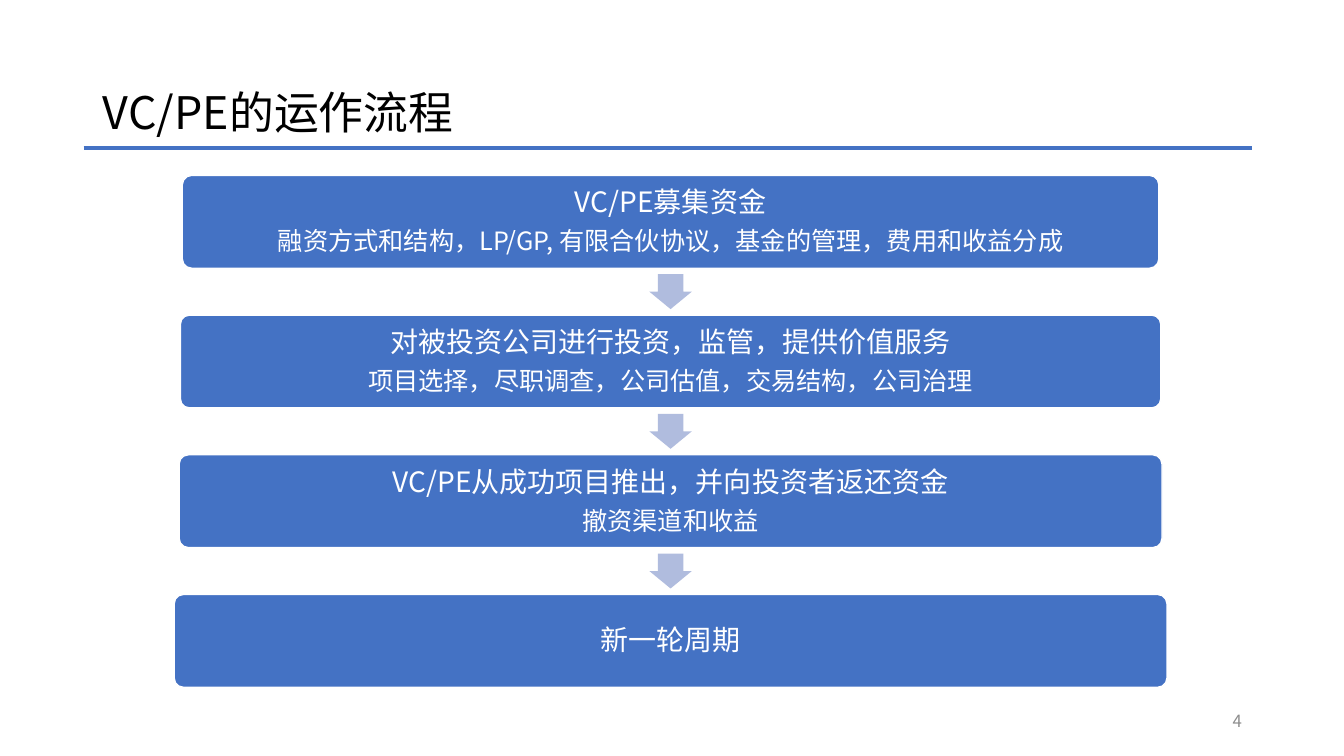
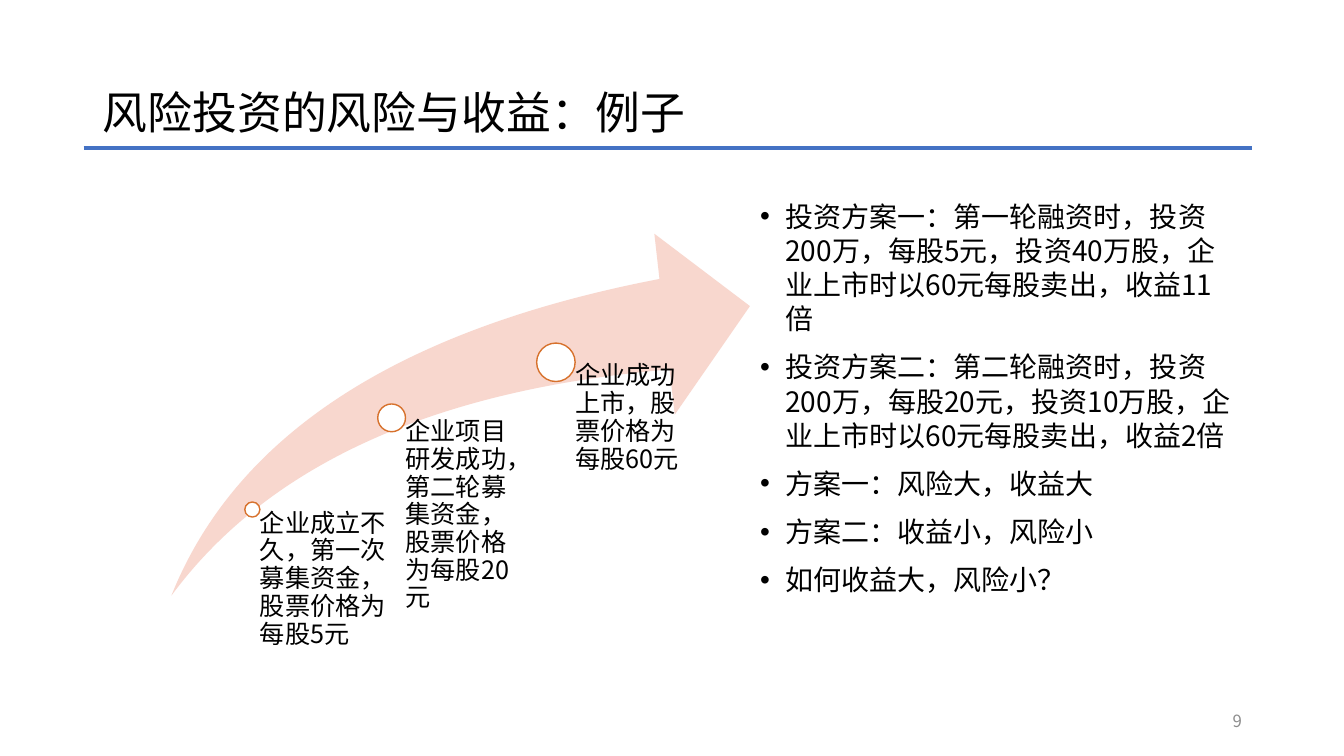
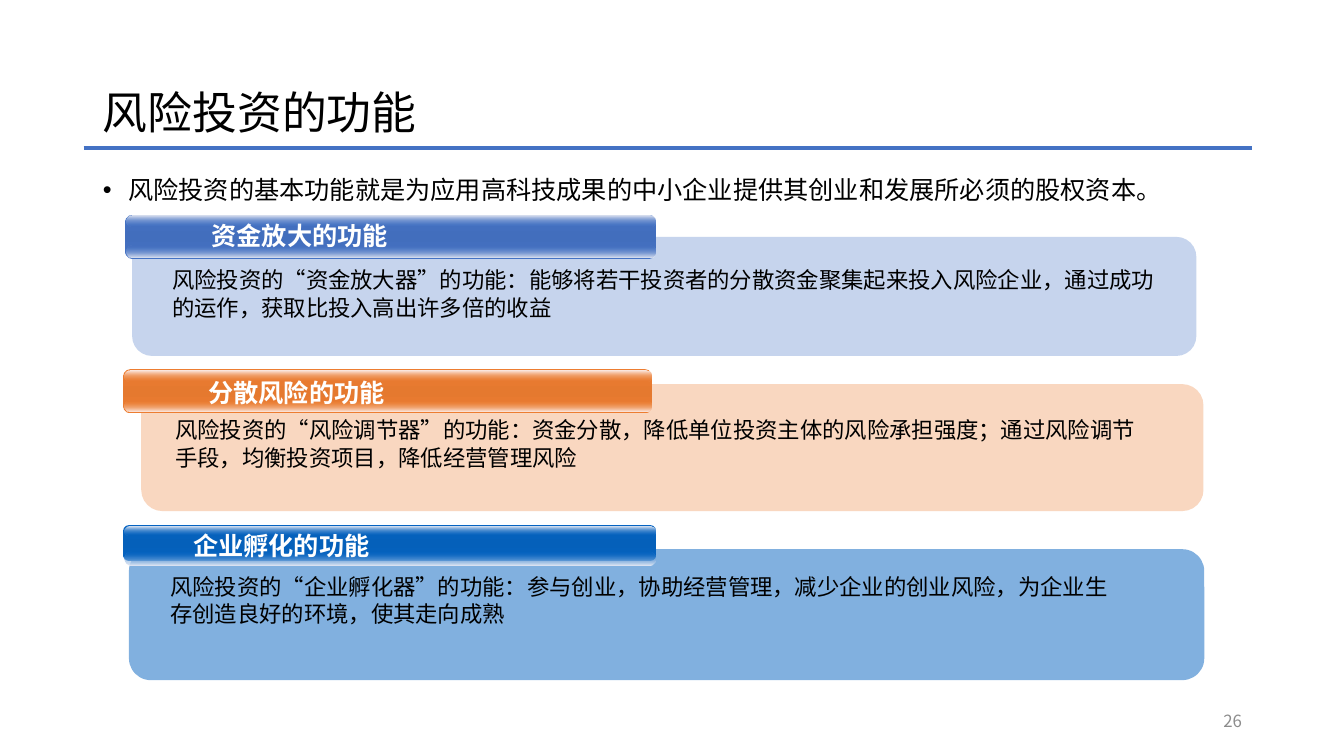
from dataclasses import dataclass
from typing import Any, NamedTuple

from lxml import etree
from pptx import Presentation
from pptx.dml.color import RGBColor
from pptx.enum import shapes, text
from pptx.oxml.ns import qn
from pptx.util import Cm, Pt

FONT = "Noto Sans CJK SC"
LINE_HEIGHT = 1.22  # height of a single-spaced line, in font sizes

BLACK = RGBColor(0x00, 0x00, 0x00)
WHITE = RGBColor(0xFF, 0xFF, 0xFF)
GREY = RGBColor(0x8C, 0x8C, 0x8C)
BLUE = RGBColor(0x44, 0x72, 0xC4)
BLUE_SHADE = RGBColor(0x42, 0x6E, 0xBD)
PALE_BLUE = RGBColor(0xB0, 0xBC, 0xDE)
ORANGE = RGBColor(0xED, 0x7D, 0x31)
ORANGE_SHADE = RGBColor(0xE5, 0x79, 0x2F)
RING_ORANGE = RGBColor(0xD7, 0x71, 0x2C)
PALE_PINK = RGBColor(0xF8, 0xD7, 0xCE)
DEEP_BLUE = RGBColor(0x05, 0x63, 0xC1)
DEEP_BLUE_SHADE = RGBColor(0x05, 0x60, 0xBA)
BLUE_GLOSS = RGBColor(0xE6, 0xE9, 0xF3)
ORANGE_GLOSS = RGBColor(0xFC, 0xF0, 0xED)
DEEP_BLUE_GLOSS = RGBColor(0xE8, 0xEB, 0xF5)

SHAPE = shapes.MSO_SHAPE
ALIGN = text.PP_ALIGN
ANCHOR = text.MSO_ANCHOR


class Box(NamedTuple):
    """A place on the slide, in centimetres."""
    left: float
    top: float
    width: float
    height: float

    def lengths(self) -> list[Cm]:
        return [Cm(value) for value in self]


class Stop(NamedTuple):
    position: int
    colour: RGBColor
    opacity: int = 100


@dataclass(frozen=True)
class Step:
    width: float
    heading: str
    detail: str = ""


@dataclass(frozen=True)
class Stage:
    centre_x: float
    centre_y: float
    diameter: float
    caption_width: float
    caption: str


@dataclass(frozen=True)
class Function:
    label: str
    description: str
    colour: RGBColor
    shade: RGBColor
    gloss: RGBColor
    panel: Box
    panel_opacity: int
    tab: Box
    label_box: Box
    description_box: Box
    lower_gloss_top: float = 0.79
    lower_gloss_height: float = 0.28


TITLE_BOX = Box(2.34, 1.02, 29.21, 3.68)
NUMBER_BOX = Box(23.93, 17.65, 7.62, 1.02)

STEPS = [
    Step(24.61, "VC/PE募集资金",
         "融资方式和结构，LP/GP, 有限合伙协议，基金的管理，费用和收益分成"),
    Step(24.71, "对被投资公司进行投资，监管，提供价值服务",
         "项目选择，尽职调查，公司估值，交易结构，公司治理"),
    Step(24.77, "VC/PE从成功项目推出，并向投资者返还资金", "撤资渠道和收益"),
    Step(25.02, "新一轮周期"),
]

STAGES = [
    Stage(6.36, 12.84, 0.38, 3.4, "企业成立不久，第一次募集资金，股票价格为每股5元"),
    Stage(9.87, 10.53, 0.7, 3.5, "企业项目研发成功，第二轮募集资金，股票价格为每股20元"),
    Stage(14.01, 9.13, 0.97, 3.5, "企业成功上市，股票价格为每股60元"),
]

PLANS = [
    "投资方案一：第一轮融资时，投资200万，每股5元，投资40万股，企业上市时以60元每股卖出，收益11倍",
    "投资方案二：第二轮融资时，投资200万，每股20元，投资10万股，企业上市时以60元每股卖出，收益2倍",
    "方案一：风险大，收益大",
    "方案二：收益小，风险小",
    "如何收益大，风险小？",
]

FUNCTIONS = [
    Function(
        "资金放大的功能",
        "风险投资的“资金放大器”的功能：能够将若干投资者的分散资金聚集起来投入风险企业，"
        "通过成功的运作，获取比投入高出许多倍的收益",
        BLUE, BLUE_SHADE, BLUE_GLOSS,
        panel=Box(3.33, 5.97, 26.82, 3), panel_opacity=30,
        tab=Box(3.15, 5.41, 13.39, 1.12),
        label_box=Box(5.08, 5.41, 7.75, 1.02),
        description_box=Box(4.09, 6.58, 25.4, 1.68)),
    Function(
        "分散风险的功能",
        "风险投资的“风险调节器”的功能：资金分散，降低单位投资主体的风险承担强度；"
        "通过风险调节手段，均衡投资项目，降低经营管理风险",
        ORANGE, ORANGE_SHADE, ORANGE_GLOSS,
        panel=Box(3.56, 9.68, 26.77, 3.2), panel_opacity=30,
        tab=Box(3.1, 9.3, 13.34, 1.12),
        label_box=Box(5, 9.37, 8.2, 1.02),
        description_box=Box(4.17, 10.36, 24.82, 1.68)),
    Function(
        "企业孵化的功能",
        "风险投资的“企业孵化器”的功能：参与创业，协助经营管理，减少企业的创业风险，"
        "为企业生存创造良好的环境，使其走向成熟",
        DEEP_BLUE, DEEP_BLUE_SHADE, DEEP_BLUE_GLOSS,
        panel=Box(3.25, 13.84, 27.1, 3.3), panel_opacity=50,
        tab=Box(3.1, 13.23, 13.44, 0.91),
        label_box=Box(4.62, 13.23, 8.15, 1.02),
        description_box=Box(4.04, 14.3, 24.46, 1.68),
        lower_gloss_top=0.66, lower_gloss_height=0.36),
]


def add_paragraph(frame: Any, content: str, *, size: float, colour: RGBColor = BLACK,
                  bold: bool = False, align: Any = ALIGN.LEFT, spacing: float = 1,
                  before: float = 0, after: float = 0, bullet: bool = False) -> None:
    """Fill the frame's empty first paragraph, or append another one."""
    paragraph = frame.paragraphs[0]
    if paragraph.runs:
        paragraph = frame.add_paragraph()
    else:
        before = 0
    if bullet:
        properties = paragraph._p.get_or_add_pPr()
        properties.set("marL", str(Cm(0.64)))
        properties.set("indent", str(Cm(-0.64)))
    paragraph.alignment = align
    paragraph.line_spacing = Pt(round(size * LINE_HEIGHT * spacing, 1))
    paragraph.space_before = Pt(before)
    paragraph.space_after = Pt(after)
    run = paragraph.add_run()
    run.text = content
    font = run.font
    font.size, font.bold, font.name = Pt(size), bold, FONT
    font.color.rgb = colour
    run_properties = run._r.get_or_add_rPr()
    run_properties.set("lang", "zh-CN")
    etree.SubElement(run_properties, qn("a:ea")).set("typeface", FONT)


def prepare_frame(shape: Any, anchor: Any = ANCHOR.TOP) -> Any:
    frame = shape.text_frame
    frame.word_wrap = True
    frame.auto_size = text.MSO_AUTO_SIZE.NONE
    frame.vertical_anchor = anchor
    return frame


def add_text(slide: Any, box: Box, content: str, *, anchor: Any = ANCHOR.TOP,
             **text_format: Any) -> Any:
    frame = prepare_frame(slide.shapes.add_textbox(*box.lengths()), anchor)
    add_paragraph(frame, content, **text_format)
    return frame


def fill_placeholder(placeholder: Any, box: Box, contents: list[str], *,
                     anchor: Any = ANCHOR.TOP, **text_format: Any) -> None:
    placeholder.left, placeholder.top, placeholder.width, placeholder.height = box.lengths()
    frame = prepare_frame(placeholder, anchor)
    for content in contents:
        add_paragraph(frame, content, **text_format)


def add_shape(slide: Any, kind: Any, box: Box, fill: RGBColor | None = None, *,
              line: RGBColor | None = None, adjustments: tuple[float, ...] = ()) -> Any:
    shape = slide.shapes.add_shape(kind, *box.lengths())
    shape.shadow.inherit = False
    if fill is not None:
        shape.fill.solid()
        shape.fill.fore_color.rgb = fill
    if line is None:
        shape.line.fill.background()
    else:
        shape.line.color.rgb = line
        shape.line.width = Pt(1)
    for index, value in enumerate(adjustments):
        shape.adjustments[index] = value
    return shape


def set_opacity(colour_element: Any, percent: int) -> None:
    etree.SubElement(colour_element, qn("a:alpha")).set("val", str(percent * 1000))


def add_gradient_bar(slide: Any, box: Box, rounding: float, stops: list[Stop]) -> None:
    """Draw a rounded bar shaded from top to bottom."""
    bar = add_shape(slide, SHAPE.ROUNDED_RECTANGLE, box, adjustments=(rounding,))
    bar.fill.gradient()
    bar.fill.gradient_angle = 270
    stop_list = bar._element.spPr.find(".//" + qn("a:gsLst"))
    for old_stop in list(stop_list):
        stop_list.remove(old_stop)
    for stop in stops:
        element = etree.SubElement(stop_list, qn("a:gs"))
        element.set("pos", str(stop.position * 1000))
        colour_element = etree.SubElement(element, qn("a:srgbClr"))
        colour_element.set("val", str(stop.colour))
        if stop.opacity < 100:
            set_opacity(colour_element, stop.opacity)


def add_titled_slide(presentation: Any, layout_index: int, title: str, number: int) -> Any:
    slide = presentation.slides.add_slide(presentation.slide_layouts[layout_index])
    fill_placeholder(slide.shapes.title, TITLE_BOX, [title], anchor=ANCHOR.MIDDLE,
                     size=32, spacing=0.9)
    rule = slide.shapes.add_connector(shapes.MSO_CONNECTOR.STRAIGHT,
                                      Cm(2.11), Cm(3.73), Cm(31.55), Cm(3.73))
    rule.line.color.rgb = BLUE
    rule.line.width = Pt(3)
    etree.SubElement(rule._element.spPr, qn("a:effectLst"))
    add_text(slide, NUMBER_BOX, str(number), anchor=ANCHOR.MIDDLE,
             size=12, colour=GREY, align=ALIGN.RIGHT)
    return slide


def build_process_slide(presentation: Any) -> None:
    slide = add_titled_slide(presentation, 5, "VC/PE的运作流程", 4)
    centre, first_top, height, pitch = 16.9, 4.42, 2.34, 3.52
    arrow_width, arrow_height = 1.07, 0.88
    arrow_offset = (pitch + height - arrow_height) / 2
    for index, step in enumerate(STEPS):
        top = first_top + index * pitch
        box = Box(centre - step.width / 2, top, step.width, height)
        shape = add_shape(slide, SHAPE.ROUNDED_RECTANGLE, box, BLUE,
                          line=WHITE, adjustments=(0.1,))
        frame = prepare_frame(shape, ANCHOR.MIDDLE)
        for content, size in ((step.heading, 20), (step.detail, 18)):
            if content:
                add_paragraph(frame, content, size=size, colour=WHITE,
                              align=ALIGN.CENTER, spacing=0.9, after=size * 0.35)
        if index < len(STEPS) - 1:
            arrow_box = Box(centre - arrow_width / 2, top + arrow_offset,
                            arrow_width, arrow_height)
            add_shape(slide, SHAPE.DOWN_ARROW, arrow_box, PALE_BLUE, adjustments=(0.6, 0.5))


def build_example_slide(presentation: Any) -> None:
    slide = add_titled_slide(presentation, 1, "风险投资的风险与收益：例子", 9)
    fill_placeholder(slide.placeholders[1], Box(18.9, 4.88, 12.5, 12.09), PLANS,
                     size=20, before=10, bullet=True)
    add_shape(slide, SHAPE.SWOOSH_ARROW, Box(4.32, 5.89, 14.58, 9.12), PALE_PINK,
              adjustments=(0.25, 0.25))
    captions_bottom = 15.49
    for stage in STAGES:
        radius = stage.diameter / 2
        add_shape(slide, SHAPE.OVAL,
                  Box(stage.centre_x - radius, stage.centre_y - radius,
                      stage.diameter, stage.diameter), WHITE, line=RING_ORANGE)
        caption_box = Box(stage.centre_x, stage.centre_y, stage.caption_width,
                          captions_bottom - stage.centre_y)
        frame = add_text(slide, caption_box, stage.caption, size=18, spacing=0.9)
        frame.margin_left = Cm(radius)
        frame.margin_top = frame.margin_right = frame.margin_bottom = 0


def add_function(slide: Any, function: Function) -> None:
    """Draw a pale panel with its text under a glossy tab."""
    panel = add_shape(slide, SHAPE.ROUNDED_RECTANGLE, function.panel, function.colour,
                      adjustments=(0.167,))
    set_opacity(panel._element.spPr.find(".//" + qn("a:srgbClr")), function.panel_opacity)
    tab, colour, gloss = function.tab, function.colour, function.gloss
    add_gradient_bar(slide, tab, 0.175,
                     [Stop(0, colour), Stop(50, function.shade), Stop(100, colour)])
    gloss_left, gloss_width = tab.left + 0.03, tab.width - 0.06
    add_gradient_bar(slide, Box(gloss_left, tab.top + function.lower_gloss_top,
                                gloss_width, function.lower_gloss_height),
                     0.5, [Stop(0, colour, 0), Stop(100, gloss)])
    add_gradient_bar(slide, Box(gloss_left, tab.top + 0.03, gloss_width, tab.height / 4),
                     0.5, [Stop(0, gloss), Stop(100, colour, 0)])
    add_text(slide, function.label_box, function.label, size=18, colour=WHITE, bold=True)
    add_text(slide, function.description_box, function.description, size=16)


def build_functions_slide(presentation: Any) -> None:
    slide = add_titled_slide(presentation, 1, "风险投资的功能", 26)
    fill_placeholder(slide.placeholders[1], Box(2.34, 4.34, 29.21, 12.09),
                     ["风险投资的基本功能就是为应用高科技成果的中小企业提供其创业和发展所必须的股权资本。"],
                     size=18, spacing=0.9, bullet=True)
    for function in FUNCTIONS:
        add_function(slide, function)


def main() -> None:
    presentation = Presentation()
    presentation.slide_width, presentation.slide_height = Cm(33.87), Cm(19.05)
    build_process_slide(presentation)
    build_example_slide(presentation)
    build_functions_slide(presentation)
    presentation.save("out.pptx")


if __name__ == "__main__":
    main()
